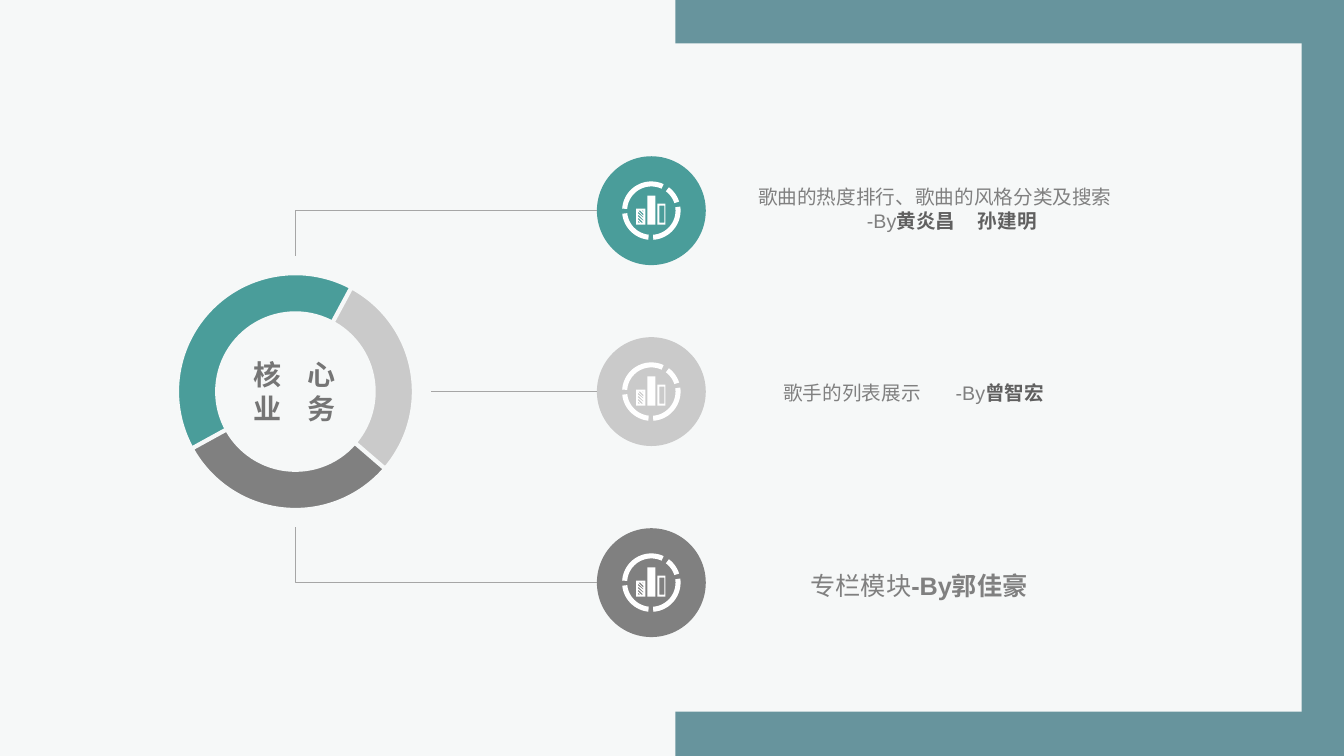
import math

import lxml.etree
import pptx
import pptx.dml.color
import pptx.enum.shapes
import pptx.enum.text
import pptx.oxml.ns
import pptx.util

Inches = pptx.util.Inches
RGBColor = pptx.dml.color.RGBColor
SHAPES = pptx.enum.shapes.MSO_SHAPE
CONNECTORS = pptx.enum.shapes.MSO_CONNECTOR
qn = pptx.oxml.ns.qn

PAPER = RGBColor(0xF6, 0xF8, 0xF8)
FRAME = RGBColor(0x1B, 0x5F, 0x6D)
TEAL = RGBColor(0x4A, 0x9D, 0x9A)
SILVER = RGBColor(0xCA, 0xCA, 0xCA)
GRAY = RGBColor(0x80, 0x80, 0x80)
HUB_TEXT = RGBColor(0x75, 0x75, 0x75)
NAME_TEXT = RGBColor(0x60, 0x60, 0x60)
RULE = RGBColor(0xA6, 0xA6, 0xA6)
WHITE = RGBColor(0xFF, 0xFF, 0xFF)

deck = pptx.Presentation()
deck.slide_width = Inches(13.33)
deck.slide_height = Inches(7.5)
slide = deck.slides.add_slide(deck.slide_layouts[6])
slide.background.fill.solid()
slide.background.fill.fore_color.rgb = PAPER


def add_figure(kind, left, top, width, height, color):
    figure = slide.shapes.add_shape(kind, Inches(left), Inches(top), Inches(width), Inches(height))
    figure.shadow.inherit = False
    figure.fill.solid()
    figure.fill.fore_color.rgb = color
    figure.line.fill.background()
    return figure


def add_text(left, top, width, height, lines, size=14, color=GRAY, strong=NAME_TEXT, tabs=()):
    box = slide.shapes.add_textbox(Inches(left), Inches(top), Inches(width), Inches(height))
    frame = box.text_frame
    frame.word_wrap = True
    frame.auto_size = pptx.enum.text.MSO_AUTO_SIZE.SHAPE_TO_FIT_TEXT
    for number, line in enumerate(lines):
        paragraph = frame.paragraphs[0] if number == 0 else frame.add_paragraph()
        if tabs:
            stops = lxml.etree.SubElement(paragraph._p.get_or_add_pPr(), qn("a:tabLst"))
            for stop in tabs:
                lxml.etree.SubElement(stops, qn("a:tab"), pos=str(Inches(stop)), algn="l")
        for words, bold in line:
            run = paragraph.add_run()
            run.text = words
            run.font.name = "Arial"
            run.font.size = pptx.util.Pt(size)
            run.font.bold = bold
            run.font.color.rgb = strong if bold else color


border = add_figure(SHAPES.RECTANGLE, 6.7, 0, 6.63, 7.5, FRAME)
border_color = border._element.spPr.find(".//" + qn("a:srgbClr"))
lxml.etree.SubElement(border_color, qn("a:alpha"), val="65000")
add_figure(SHAPES.RECTANGLE, 0.42, 0.43, 12.49, 6.63, PAPER)

HUB_X, HUB_Y = 2.93, 3.885
HALO, RING = 2.69, 2.35
add_figure(SHAPES.OVAL, HUB_X - HALO / 2, HUB_Y - HALO / 2, HALO, HALO, PAPER)
for kind, color, adjustments in [
    (SHAPES.DONUT, TEAL, [0.17]),
    (SHAPES.BLOCK_ARC, GRAY, [211.17, 90.72, 0.17]),
    (SHAPES.BLOCK_ARC, SILVER, [178.95, 24.43, 0.17]),
]:
    segment = add_figure(kind, HUB_X - RING / 2, HUB_Y - RING / 2, RING, RING, color)
    for index, value in enumerate(adjustments):
        segment.adjustments[index] = value
    segment.line.color.rgb = PAPER
    segment.line.width = pptx.util.Pt(3)

icon_outlines = []
for start, end in [(-8, 86), (96, 174), (184, 295), (307, 342)]:
    angles = [math.radians(start + (end - start) * step / 24) for step in range(25)]
    outer = [(0.29 * math.cos(a), 0.29 * math.sin(a)) for a in angles]
    inner = [(0.24 * math.cos(a), 0.24 * math.sin(a)) for a in reversed(angles)]
    icon_outlines.append(outer + inner)
for left, top, right, bottom in [
    (-0.15, -0.02, -0.06, 0.14),
    (-0.04, -0.15, 0.04, 0.14),
    (0.06, -0.07, 0.14, 0.14),
    (0.08, -0.05, 0.13, 0.12),
]:
    icon_outlines.append([(left, top), (right, top), (right, bottom), (left, bottom)])
icon_outlines += [
    [(-0.13, 0.1), (-0.13, 0.12), (-0.11, 0.12)],
    [(-0.13, 0.07), (-0.13, 0.09), (-0.1, 0.12), (-0.08, 0.12)],
    [(-0.13, 0.04), (-0.13, 0.06), (-0.08, 0.1), (-0.08, 0.09)],
    [(-0.13, 0.01), (-0.13, 0.03), (-0.08, 0.07), (-0.08, 0.06)],
    [(-0.13, 0), (-0.08, 0.05), (-0.08, 0.03), (-0.11, 0)],
    [(-0.1, 0), (-0.08, 0.01), (-0.08, 0)],
]

DISC_X, DISC = 6.46, 1.08
for disc_y, color, end_x, end_y in [
    (2.09, TEAL, HUB_X, HUB_Y - HALO / 2),
    (HUB_Y, SILVER, HUB_X + HALO / 2, HUB_Y),
    (5.78, GRAY, HUB_X, HUB_Y + HALO / 2),
]:
    add_figure(SHAPES.OVAL, DISC_X - DISC / 2, disc_y - DISC / 2, DISC, DISC, color)

    straight = disc_y == end_y
    branch = slide.shapes.add_connector(
        CONNECTORS.STRAIGHT if straight else CONNECTORS.ELBOW,
        Inches(DISC_X - DISC / 2), Inches(disc_y), Inches(end_x), Inches(end_y))
    if not straight:
        branch._element.spPr.find(qn("a:prstGeom")).set("prst", "bentConnector2")
    branch.line.color.rgb = RULE
    branch.line.width = pptx.util.Pt(0.5)
    lxml.etree.SubElement(branch._element.spPr, qn("a:effectLst"))

    placed = [[(Inches(DISC_X + x), Inches(disc_y + y)) for x, y in outline]
              for outline in icon_outlines]
    builder = slide.shapes.build_freeform(*placed[0][0])
    for outline in placed:
        builder.move_to(*outline[0])
        builder.add_line_segments(outline[1:], close=True)
    icon = builder.convert_to_shape()
    icon.shadow.inherit = False
    icon.fill.solid()
    icon.fill.fore_color.rgb = WHITE
    icon.line.fill.background()

add_text(7.42, 1.79, 4.39, 0.57,
         [[("歌曲的热度排行、歌曲的风格分类及搜索", False)],
          [("\t-By", False), ("黄炎昌\t孙建明", True)]], tabs=(1.08, 2.18))
add_text(6.9, 3.73, 4.39, 0.57,
         [[("\t歌手的列表展示\t-By", False), ("曾智宏", True)]], tabs=(0.77, 2.48))
add_text(2.42, 3.5, 1.07, 0.77, [[("核\t心", True)], [("业\t务", True)]],
         size=20, strong=HUB_TEXT, tabs=(0.53,))
add_text(7.94, 5.61, 2.38, 0.4, [[("专栏模块", False), ("-By郭佳豪", True)]],
         size=18, strong=GRAY)

deck.save("out.pptx")
